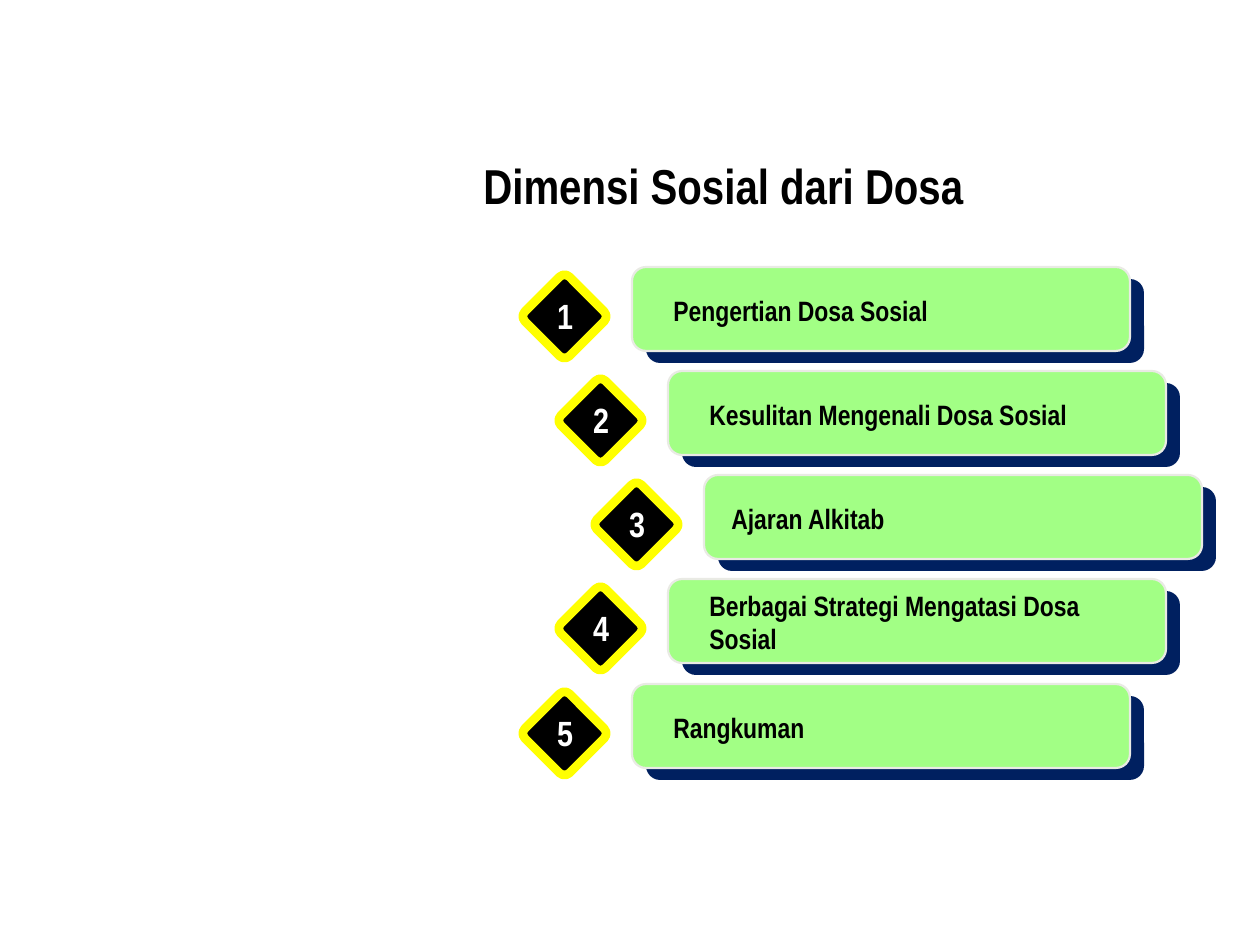
from pptx import Presentation
from pptx.dml.color import RGBColor
from pptx.enum.shapes import MSO_SHAPE as Shape
from pptx.enum.text import MSO_ANCHOR as Anchor, PP_ALIGN as Align
from pptx.util import Pt

# Content: label, indent steps, label inset and label height in px
TITLE = "Dimensi Sosial dari Dosa"
TOPICS = [
    ("Pengertian Dosa Sosial", 0, 29, 47),
    ("Kesulitan Mengenali Dosa Sosial", 1, 29, 47),
    ("Ajaran Alkitab", 2, 15, 47),
    ("Berbagai Strategi Mengatasi Dosa Sosial", 1, 29, 81),
    ("Rangkuman", 0, 29, 47),
]

FONT = "Arial Narrow"
BLACK, WHITE = "000000", "FFFFFF"
NAVY, GREEN, GRAY, YELLOW = "002060", "A2FF85", "E9EAE4", "FFFF00"

# Layout in px
FIRST_LEFT, INDENT = 632, 36
FIRST_TOP, LAST_TOP = 267, 684
BAR_WIDTH, BAR_HEIGHT = 498, 84


def px(value):
    return round(value * 914400 / 126)


def color(hex_value):
    return RGBColor.from_string(hex_value)


def add_text(shapes, text, left, top, width, height, size, text_color=BLACK, align=Align.LEFT):
    box = shapes.add_textbox(px(left), px(top), px(width), px(height))
    frame = box.text_frame
    frame.word_wrap = True
    frame.vertical_anchor = Anchor.MIDDLE
    para = frame.paragraphs[0]
    para.alignment = align
    span = para.add_run()
    span.text = text
    font = span.font
    font.name, font.size, font.bold = FONT, Pt(size), True
    font.color.rgb = color(text_color)


def add_round_box(shapes, left, top, width, height, fill, line=None, line_width=0):
    box = shapes.add_shape(Shape.ROUNDED_RECTANGLE, px(left), px(top), px(width), px(height))
    box.shadow.inherit = False
    box.fill.solid()
    box.fill.fore_color.rgb = color(fill)
    if line:
        box.line.color.rgb = color(line)
        box.line.width = Pt(line_width)
    else:
        box.line.fill.background()
    return box


def add_topic(slide, index, label, indent, inset, label_height):
    shapes = slide.shapes.add_group_shape().shapes
    left = FIRST_LEFT + INDENT * indent
    top = FIRST_TOP + (LAST_TOP - FIRST_TOP) * index // (len(TOPICS) - 1)

    # Bar with its offset backing
    add_round_box(shapes, left + 14, top + 12, BAR_WIDTH, BAR_HEIGHT, NAVY)
    add_round_box(shapes, left, top, BAR_WIDTH, BAR_HEIGHT, GREEN, GRAY, 1.25)
    label_top = top + 43 - label_height / 2
    add_text(shapes, label, left + inset, label_top, 417, label_height, 16)

    # Numbered diamond
    diamond = add_round_box(shapes, left - 99, top + 18, 63, 63, BLACK, YELLOW, 5)
    diamond.adjustments[0] = 0.11
    diamond.rotation = 45
    add_text(shapes, str(index + 1), left - 88, top + 21, 42, 55, 20, WHITE, Align.CENTER)


def main():
    deck = Presentation()
    deck.slide_width, deck.slide_height = px(1260), px(945)
    page = deck.slides.add_slide(deck.slide_layouts[6])
    add_text(page.shapes, TITLE, 471, 145, 789, 79, 28)
    for index, topic in enumerate(TOPICS):
        add_topic(page, index, *topic)
    deck.save("out.pptx")


if __name__ == "__main__":
    main()
